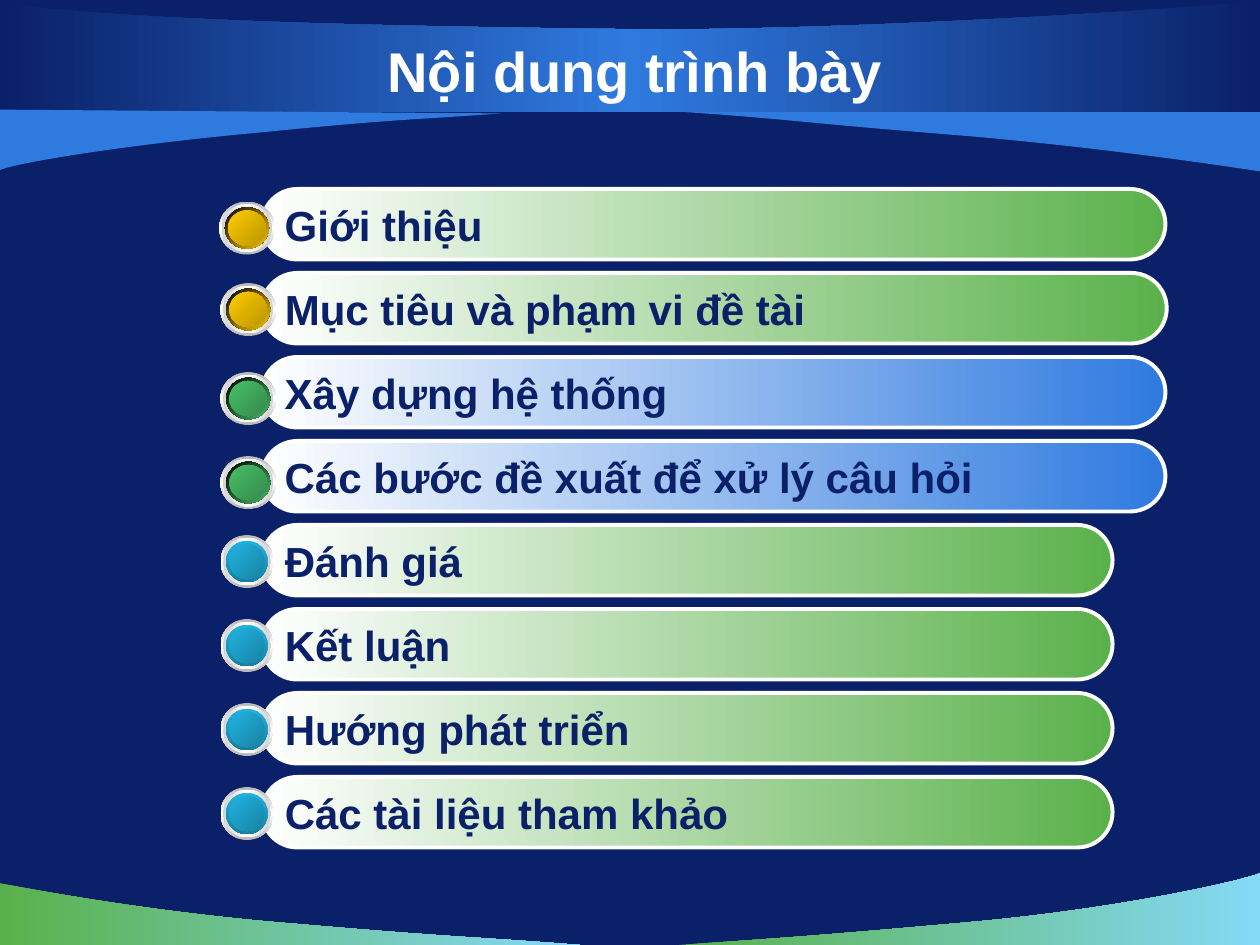
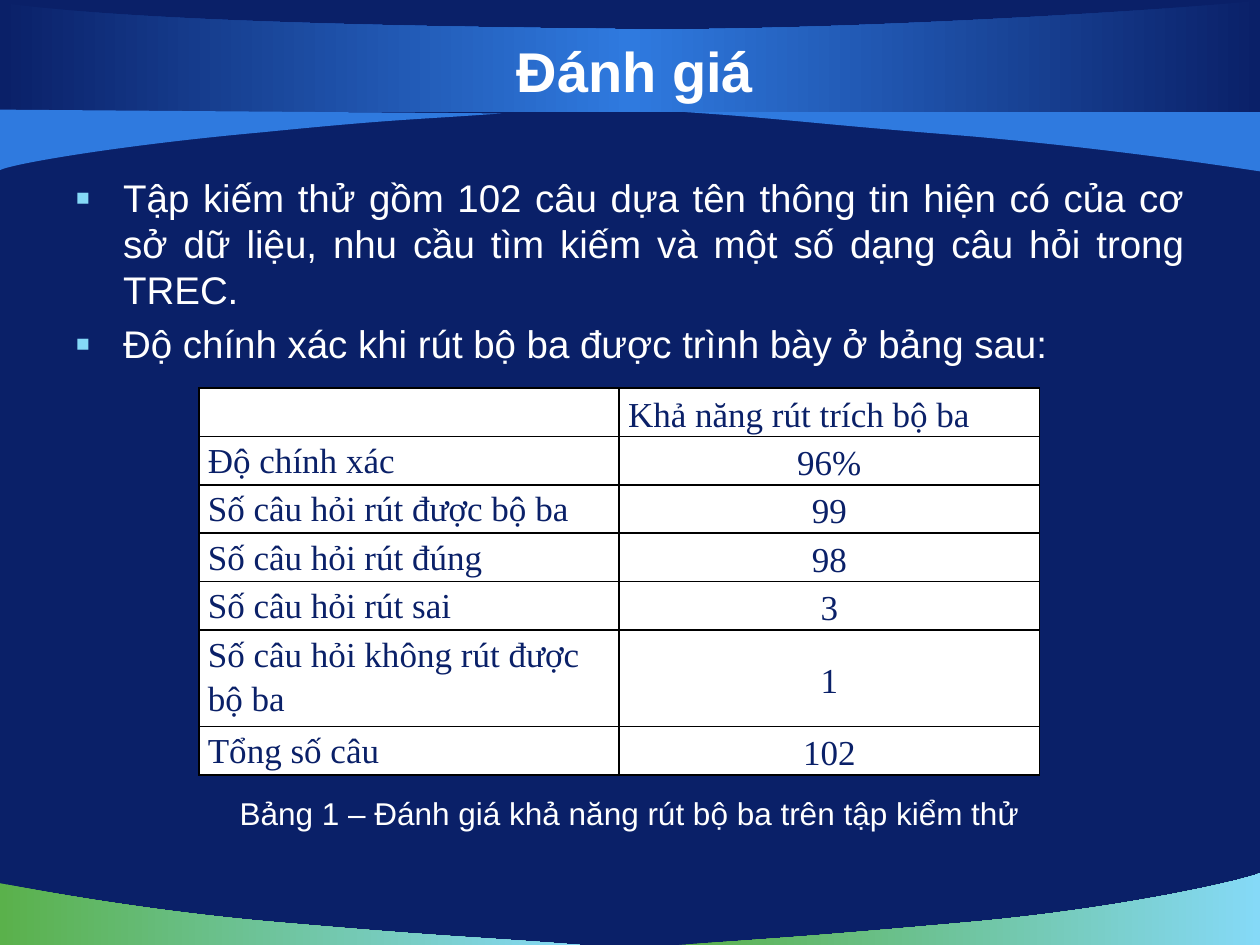
from pptx import Presentation
from pptx.dml.color import RGBColor
from pptx.enum.shapes import MSO_SHAPE as Preset
from pptx.enum.text import MSO_ANCHOR as Anchor, PP_ALIGN as Align
from pptx.oxml import parse_xml
from pptx.oxml.ns import nsdecls, qn
from pptx.util import Inches, Pt

NAVY = RGBColor(0x0A, 0x20, 0x68)
BLUE = RGBColor(0x2F, 0x7A, 0xDF)
GREEN = RGBColor(0x5A, 0xB1, 0x4B)
SKY = RGBColor(0x85, 0xD9, 0xF7)
WHITE = RGBColor(0xFF, 0xFF, 0xFF)
BLACK = RGBColor(0x00, 0x00, 0x00)
GOLD = RGBColor(0xFF, 0xCC, 0x00)
LEAF = RGBColor(0x48, 0xBE, 0x67)
CYAN = RGBColor(0x21, 0xB3, 0xE1)

# A gradient stop is (colour, shade percent); 100 is the plain colour
STEEL, SILVER, BRIGHT = (WHITE, 47), (WHITE, 64), (WHITE, 100)
# Each knob: face colour, ring stops, ring angle
GOLD_KNOB = (GOLD, [(BLACK, 100), (GOLD, 100)], 45)
LEAF_KNOB = (LEAF, [(BLACK, 100), (LEAF, 100)], 45)
CYAN_KNOB = (CYAN, [(CYAN, 100), (CYAN, 47)], 90)

SANS, SERIF = "Arial", "Times New Roman"
SLIDE_W, SLIDE_H = 10, 7.5

# Outlines: start point, then 2 numbers for a line or 6 for a Bezier curve
WAVES = [
    ([(4.6, 7.5), (3.84, 7.44, 3.58, 7.44, 2.32, 7.33),
      (1.06, 7.23, 0.01, 7.01, 0, 7.01), (0, 7.5)], (GREEN, SKY)),
    ([(5.39, 7.5), (6.14, 7.45, 6.46, 7.43, 7.69, 7.32),
      (8.92, 7.21, 9.9, 6.98, 10, 6.93), (10, 7.5)], (GREEN, SKY)),
    ([(5.44, 0.89), (6.2, 0.94, 6.42, 0.98, 7.68, 1.08),
      (8.94, 1.19, 9.99, 1.36, 10, 1.36), (10, 0.88)], (BLUE,)),
    ([(0, 0.89), (10, 0.89), (10, 0), (9.64, 0.06, 6.53, 0.26, 4.87, 0.23),
      (3.21, 0.21, 1.01, 0.17, 0, 0.02)], (NAVY, BLUE, NAVY)),
    ([(3.98, 0.9), (3.31, 0.95, 3.18, 0.94, 2.08, 1.05),
      (0.97, 1.15, 0.09, 1.3, 0, 1.35), (0, 0.87)], (BLUE,)),
]

# Text, bar end colour, bar width, knob, knob left, knob drop, knob width
AGENDA = [
    ("Giới thiệu", GREEN, 7.17, GOLD_KNOB, 1.74, 0.1, 0.44),
    ("Mục tiêu và phạm vi đề tài", GREEN, 7.18, GOLD_KNOB, 1.75, 0.08, 0.44),
    ("Xây dựng hệ thống", BLUE, 7.17, LEAF_KNOB, 1.75, 0.12, 0.44),
    ("Các bước đề xuất để xử lý câu hỏi", BLUE, 7.17, LEAF_KNOB, 1.75, 0.12, 0.44),
    ("Đánh giá", GREEN, 6.75, CYAN_KNOB, 1.75, 0.08, 0.42),
    ("Kết luận", GREEN, 6.75, CYAN_KNOB, 1.75, 0.08, 0.42),
    ("Hướng phát triển", GREEN, 6.75, CYAN_KNOB, 1.75, 0.08, 0.42),
    ("Các tài liệu tham khảo", GREEN, 6.75, CYAN_KNOB, 1.75, 0.08, 0.42),
]

BULLETS = [
    "Tập kiếm thử gồm 102 câu dựa tên thông tin hiện có của cơ sở dữ liệu, "
    "nhu cầu tìm kiếm và một số dạng câu hỏi trong TREC.",
    "Độ chính xác khi rút bộ ba được trình bày ở bảng sau:",
]

# Label, value, row height
RESULTS = [
    ("", "Khả năng rút trích bộ ba", 0.32),
    ("Độ chính xác", "96%", 0.3),
    ("Số câu hỏi rút được bộ ba", "99", 0.3),
    ("Số câu hỏi rút đúng", "98", 0.3),
    ("Số câu hỏi rút sai", "3", 0.3),
    ("Số câu hỏi không rút được bộ ba", "1", 0.61),
    ("Tổng số câu", "102", 0.3),
]


def write(para, text, size, color, font=SANS, bold=False, align=Align.LEFT, spacing=None):
    """Put one formatted run of text in a paragraph."""
    para.alignment = align
    if spacing:
        para.line_spacing = spacing
    span = para.add_run()
    span.text = text
    span.font.name, span.font.size, span.font.bold = font, Pt(size), bold
    span.font.color.rgb = color


def strip_style(shape):
    """Take the line and the shadow off a shape."""
    shape.shadow.inherit = False
    shape.line.fill.background()


def paint_plain(shape, color):
    """Fill a shape with one colour."""
    strip_style(shape)
    shape.fill.solid()
    shape.fill.fore_color.rgb = color


def paint_gradient(shape, stops, angle=0):
    """Fill a shape with evenly spaced gradient stops of (colour, shade)."""
    strip_style(shape)
    step = 100000 // (len(stops) - 1)
    marks = ""
    for i, (color, shade) in enumerate(stops):
        tone = f'<a:shade val="{shade * 1000}"/>' if shade < 100 else ""
        marks += f'<a:gs pos="{i * step}"><a:srgbClr val="{color}">{tone}</a:srgbClr></a:gs>'
    shape.fill.gradient()
    old = shape._element.spPr.find(qn("a:gradFill"))
    old.getparent().replace(old, parse_xml(
        f'<a:gradFill {nsdecls("a")} rotWithShape="1"><a:gsLst>{marks}</a:gsLst>'
        f'<a:lin ang="{angle * 60000}" scaled="0"/></a:gradFill>'))


def add_outline(page, outline):
    """Build a closed freeform and bend the segments that are curves."""
    ends = [(Inches(part[-2]), Inches(part[-1])) for part in outline]
    builder = page.shapes.build_freeform(*ends[0])
    builder.add_line_segments(ends[1:], close=True)
    shape = builder.convert_to_shape()
    lines = list(shape._element.iter(qn("a:lnTo")))
    for part, line in zip(outline[1:], lines):
        if len(part) == 6:
            points = "".join(
                f'<a:pt x="{Inches(x) - shape.left}" y="{Inches(y) - shape.top}"/>'
                for x, y in zip(part[::2], part[1::2]))
            line.getparent().replace(line, parse_xml(
                f'<a:cubicBezTo {nsdecls("a")}>{points}</a:cubicBezTo>'))
    return shape


def add_text_box(page, left, top, width, height, anchor=Anchor.TOP):
    """Add a wrapping text box and return its text frame."""
    box = page.shapes.add_textbox(Inches(left), Inches(top), Inches(width), Inches(height))
    box.text_frame.word_wrap = True
    box.text_frame.vertical_anchor = anchor
    return box.text_frame


def add_page(deck, title):
    """Add a slide with the shared background, waves and title."""
    page = deck.slides.add_slide(deck.slide_layouts[6])
    page.background.fill.solid()
    page.background.fill.fore_color.rgb = NAVY
    for outline, colors in WAVES:
        wave = add_outline(page, outline)
        if len(colors) == 1:
            paint_plain(wave, colors[0])
        else:
            paint_gradient(wave, [(color, 100) for color in colors])
    frame = add_text_box(page, 0.5, 0.25, 9.08, 0.62, Anchor.MIDDLE)
    write(frame.paragraphs[0], title, 32, WHITE, bold=True, align=Align.CENTER)
    return page


def add_knob(page, left, top, width, height, knob):
    """Draw a round metal-rimmed knob as a group of nested ellipses."""
    color, ring, ring_angle = knob
    layers = [
        (0, [STEEL, BRIGHT, STEEL], 90),
        (0.02, [SILVER, BRIGHT, SILVER], 0),
        (0.045, ring, ring_angle),
        (0.07, [(color, 100), (color, 49)], 45),
    ]
    group = page.shapes.add_group_shape()
    for inset, stops, angle in layers:
        disc = group.shapes.add_shape(
            Preset.OVAL, Inches(left + inset), Inches(top + inset),
            Inches(width - 2 * inset), Inches(height - 2 * inset))
        paint_gradient(disc, stops, angle)


def add_bar(page, left, top, width, height, text, color):
    """Draw a rounded agenda bar that fades from white to a colour."""
    bar = page.shapes.add_shape(Preset.ROUNDED_RECTANGLE, Inches(left), Inches(top),
                                Inches(width), Inches(height))
    bar.adjustments[0] = 0.5
    paint_gradient(bar, [BRIGHT, (color, 100)])
    bar.line.color.rgb = WHITE
    bar.line.width = Pt(2.25)
    frame = bar.text_frame
    frame.word_wrap = False
    frame.vertical_anchor = Anchor.MIDDLE
    write(frame.paragraphs[0], text, 24, NAVY, bold=True)


def add_agenda(page, left, top, pitch):
    """Stack the agenda bars at an even pitch, each with its knob."""
    for i, (text, color, width, knob, knob_left, drop, knob_width) in enumerate(AGENDA):
        row_top = top + i * pitch
        add_bar(page, left, row_top, width, 0.56, text, color)
        add_knob(page, knob_left, row_top + drop, knob_width, 0.42, knob)


def add_bullets(page, left, top, width, height):
    """Write the justified list with small square bullets."""
    frame = add_text_box(page, left, top, width, height)
    for i, text in enumerate(BULLETS):
        para = frame.add_paragraph() if i else frame.paragraphs[0]
        write(para, text, 22, WHITE, align=Align.JUSTIFY)
        para.space_before = Pt(4.4)
        props = para._p.get_or_add_pPr()
        props.set("marL", str(Inches(0.38)))
        props.set("indent", str(Inches(-0.38)))
        for mark in (f'<a:buClr {nsdecls("a")}><a:srgbClr val="{SKY}"/></a:buClr>',
                     f'<a:buSzPct {nsdecls("a")} val="115000"/>',
                     f'<a:buFont {nsdecls("a")} typeface="{SANS}"/>',
                     f'<a:buChar {nsdecls("a")} char="▪"/>'):
            props.append(parse_xml(mark))


def style_cell(cell):
    """Give a cell thin black borders, a white fill and narrow margins."""
    props = cell._tc.get_or_add_tcPr()
    for side in ("lnL", "lnR", "lnT", "lnB"):
        props.append(parse_xml(
            f'<a:{side} {nsdecls("a")} w="{Pt(1)}"><a:solidFill>'
            f'<a:srgbClr val="{BLACK}"/></a:solidFill></a:{side}>'))
    cell.fill.solid()
    cell.fill.fore_color.rgb = WHITE
    cell.margin_left = cell.margin_right = Inches(0.07)
    cell.margin_top = cell.margin_bottom = 0


def add_results(page, left, top, width, height):
    """Add the two-column table of results."""
    holder = page.shapes.add_table(len(RESULTS), 2, Inches(left), Inches(top),
                                   Inches(width), Inches(height))
    table = holder.table
    table.first_row = table.horz_banding = False
    for i, (label, value, row_height) in enumerate(RESULTS):
        table.rows[i].height = Inches(row_height)
        for j, text in enumerate((label, value)):
            cell = table.cell(i, j)
            style_cell(cell)
            if j:
                cell.vertical_anchor = Anchor.MIDDLE
            if text:
                align = Align.CENTER if i and j else Align.LEFT
                write(cell.text_frame.paragraphs[0], text, 20, NAVY, font=SERIF,
                      align=align, spacing=1.15)
    holder.height = Inches(height)


def add_caption(page, left, top, width, height, text):
    """Write the centred caption of the table."""
    frame = add_text_box(page, left, top, width, height)
    write(frame.paragraphs[0], text, 18, WHITE, align=Align.CENTER)


deck = Presentation()
deck.slide_width, deck.slide_height = Inches(SLIDE_W), Inches(SLIDE_H)

agenda_page = add_page(deck, "Nội dung trình bày")
add_agenda(agenda_page, 2.08, 1.5, 2 / 3)

results_page = add_page(deck, "Đánh giá")
add_bullets(results_page, 0.5, 1.33, 9, 5.67)
add_results(results_page, 1.58, 3.08, 6.67, 3.07)
add_caption(results_page, 1.33, 6.25, 7.33, 0.4,
            "Bảng 1 – Đánh giá khả năng rút bộ ba trên tập kiểm thử")

deck.save("out.pptx")
